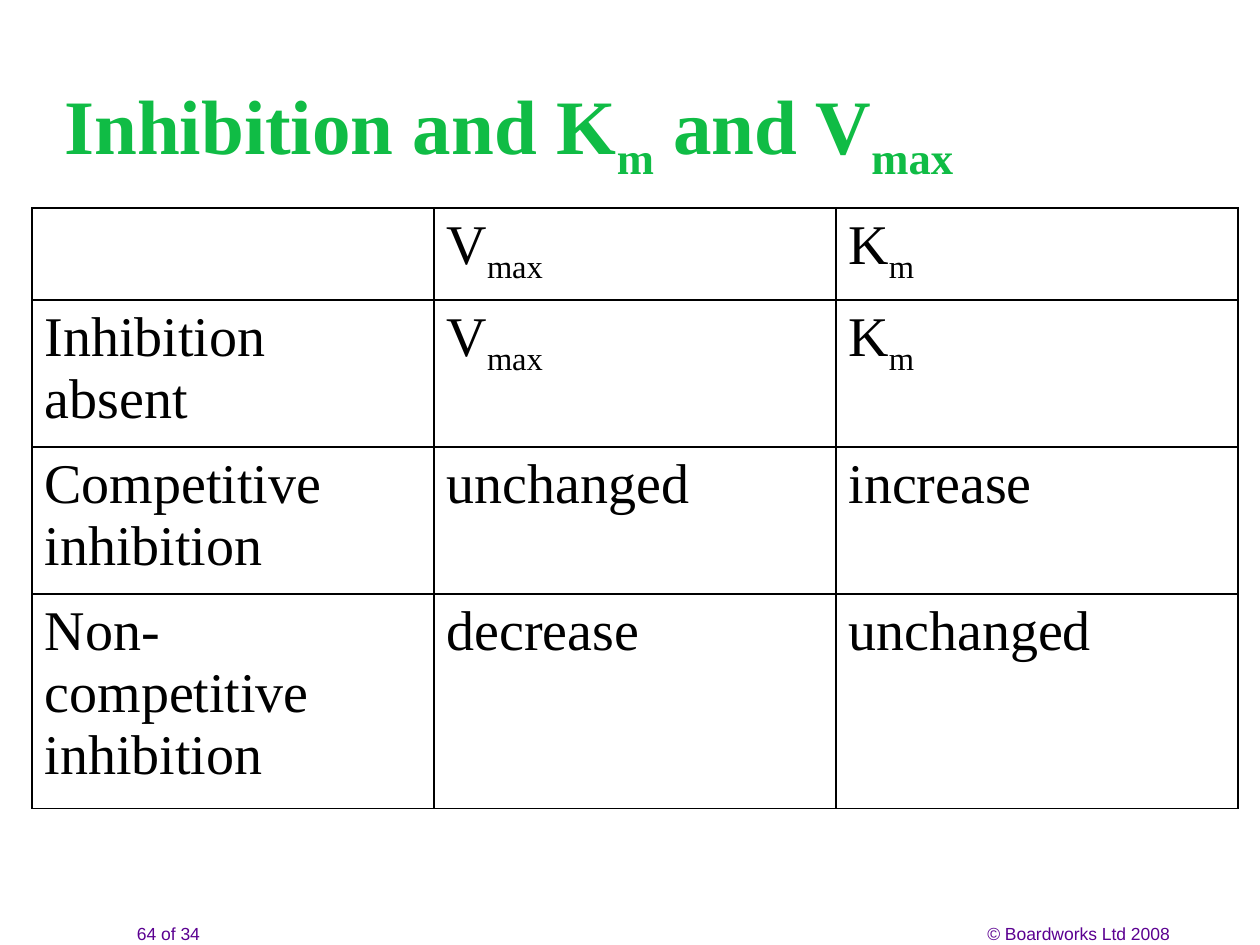
from lxml.etree import SubElement
from pptx import Presentation
from pptx.dml.color import RGBColor
from pptx.enum.text import MSO_ANCHOR, PP_ALIGN
from pptx.oxml.ns import qn
from pptx.util import Emu, Pt

PIXELS_PER_INCH = 126
COLORS = {"title": "10BC45", "footer": "5B0091", "table": "000000"}
SERIF, SANS = "Times New Roman", "Arial"
VMAX = [("V", False), ("max", True)]
KM = [("K", False), ("m", True)]
TITLE = [("Inhibition and K", False), ("m", True), (" and V", False), ("max", True)]
COLUMN_WIDTHS = [402, 402, 402]
ROW_HEIGHTS = [92, 146, 139, 200]


def plain(text):
    return [(text, False)]


ROWS = [
    [[], VMAX, KM],
    [plain("Inhibition absent"), VMAX, KM],
    [plain("Competitive inhibition"), plain("unchanged"), plain("increase")],
    [plain("Non-competitive inhibition"), plain("decrease"), plain("unchanged")],
]


def px(length):
    return Emu(round(length * 914400 / PIXELS_PER_INCH))


def write_spans(para, spans, font, size, color, bold=False):
    for text, subscript in spans:
        span = para.add_run()
        span.text = text
        span.font.name = font
        span.font.size = Pt(size)
        span.font.bold = bold
        span.font.color.rgb = RGBColor.from_string(COLORS[color])
        if subscript:
            span.font._element.set("baseline", "-25000")


def add_text(page, place, spans, font, size, color, align, bold=False):
    box = page.shapes.add_textbox(*map(px, place))
    frame = box.text_frame
    frame.word_wrap = True
    para = frame.paragraphs[0]
    para.alignment = align
    write_spans(para, spans, font, size, color, bold)
    return frame


def add_title(page):
    frame = add_text(page, (52, 42, 1145, 154), TITLE, SERIF, 44, "title", PP_ALIGN.LEFT, True)
    frame.vertical_anchor = MSO_ANCHOR.BOTTOM
    frame.margin_bottom = px(13)


def add_borders(cell):
    properties = cell._tc.get_or_add_tcPr()
    for side in ("a:lnL", "a:lnR", "a:lnT", "a:lnB"):
        line = SubElement(properties, qn(side), w=str(Pt(1)))
        fill = SubElement(line, qn("a:solidFill"))
        SubElement(fill, qn("a:srgbClr"), val=COLORS["table"])


def add_effects_table(page):
    place = (32, 208, sum(COLUMN_WIDTHS), sum(ROW_HEIGHTS))
    table = page.shapes.add_table(len(ROWS), len(COLUMN_WIDTHS), *map(px, place)).table
    table.first_row = False
    table.horz_banding = False
    for column, width in zip(table.columns, COLUMN_WIDTHS):
        column.width = px(width)
    for row, height, contents in zip(table.rows, ROW_HEIGHTS, ROWS):
        row.height = px(height)
        for cell, spans in zip(row.cells, contents):
            add_borders(cell)
            cell.fill.background()
            write_spans(cell.text_frame.paragraphs[0], spans, SERIF, 32, "table")


def main():
    deck = Presentation()
    deck.slide_width, deck.slide_height = px(1260), px(945)
    page = deck.slides.add_slide(deck.slide_layouts[6])
    add_text(page, (123, 917, 91, 34), plain("64 of 34"), SANS, 10, "footer", PP_ALIGN.CENTER)
    add_text(page, (888, 917, 294, 34), plain("© Boardworks Ltd 2008"), SANS, 10, "footer", PP_ALIGN.RIGHT)
    add_title(page)
    add_effects_table(page)
    deck.save("out.pptx")


if __name__ == "__main__":
    main()
